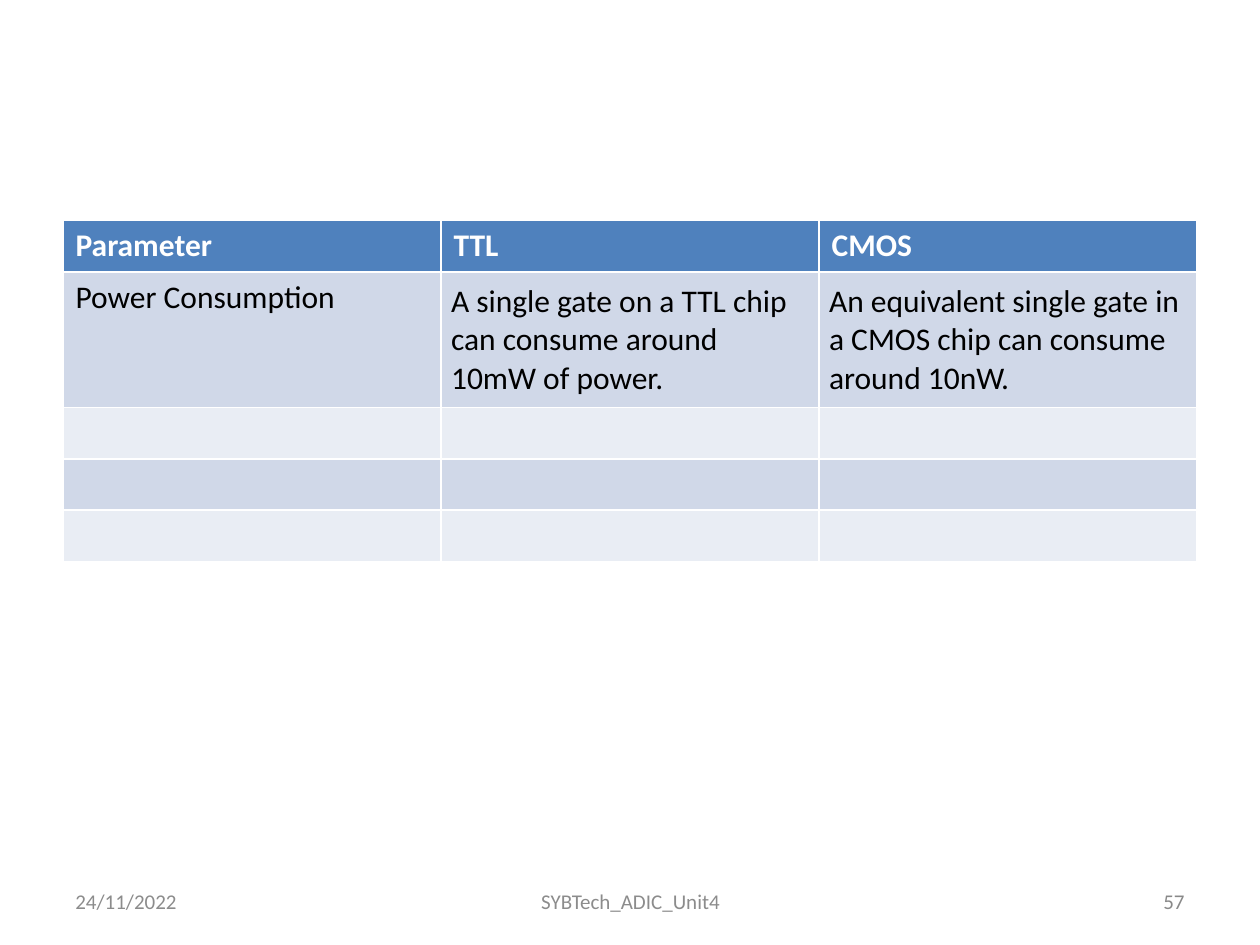
import pptx
import pptx.dml.color
import pptx.enum.text
import pptx.util
from pptx.util import Inches

ALIGN = pptx.enum.text.PP_ALIGN
FONT = "Calibri"

ROWS = [
    ("Parameter", "TTL", "CMOS"),
    ("Power Consumption",
     "A single gate on a TTL chip can consume around 10mW of power.",
     "An equivalent single gate in a CMOS chip can consume around 10nW."),
    ("", "", ""),
    ("", "", ""),
    ("", "", ""),
]
ROW_HEIGHTS = [0.41, 1.07, 0.4, 0.4, 0.41]
COLUMN_WIDTH = 3
HEADER_FILL = "4F81BD"
BAND_FILLS = ("D0D8E8", "E9EDF4")

# text, left, width, alignment, colour
FOOTERS = [
    ("24/11/2022", 0.5, 2.33, ALIGN.LEFT, "8C8C8C"),
    ("SYBTech_ADIC_Unit4", 3.42, 3.17, ALIGN.CENTER, "8C8C8C"),
    ("57", 7.17, 2.33, ALIGN.RIGHT, "898989"),
]


def rgb(value):
    return pptx.dml.color.RGBColor.from_string(value)


def style_font(paragraph, size, color, bold=False):
    font = paragraph.font
    font.name = FONT
    font.size = pptx.util.Pt(size)
    font.bold = bold
    font.color.rgb = rgb(color)


def add_comparison_table(slide):
    """Add the table; its default style supplies the white borders."""
    table = slide.shapes.add_table(
        len(ROWS), len(ROWS[0]), Inches(0.5), Inches(1.75),
        Inches(COLUMN_WIDTH * len(ROWS[0])), Inches(sum(ROW_HEIGHTS))).table
    for column in table.columns:
        column.width = Inches(COLUMN_WIDTH)
    for row_index, texts in enumerate(ROWS):
        table.rows[row_index].height = Inches(ROW_HEIGHTS[row_index])
        header = row_index == 0
        fill = HEADER_FILL if header else BAND_FILLS[(row_index - 1) % 2]
        for column_index, text in enumerate(texts):
            cell = table.cell(row_index, column_index)
            cell.text = text
            cell.fill.solid()
            cell.fill.fore_color.rgb = rgb(fill)
            style_font(cell.text_frame.paragraphs[0], 18,
                       "FFFFFF" if header else "000000", header)
            if row_index == 1 and column_index > 0:
                cell.margin_left = cell.margin_right = Inches(0.08)
                cell.margin_top = cell.margin_bottom = Inches(0.08)


def add_footer(slide, text, left, width, alignment, color):
    box = slide.shapes.add_textbox(
        Inches(left), Inches(6.95), Inches(width), Inches(0.4))
    frame = box.text_frame
    frame.word_wrap = True
    frame.vertical_anchor = pptx.enum.text.MSO_ANCHOR.MIDDLE
    frame.text = text
    paragraph = frame.paragraphs[0]
    paragraph.alignment = alignment
    style_font(paragraph, 12, color)


def main():
    presentation = pptx.Presentation()
    presentation.slide_width = Inches(10)
    presentation.slide_height = Inches(7.5)
    slide = presentation.slides.add_slide(presentation.slide_layouts[6])
    add_comparison_table(slide)
    for footer in FOOTERS:
        add_footer(slide, *footer)
    presentation.save("out.pptx")


if __name__ == "__main__":
    main()
